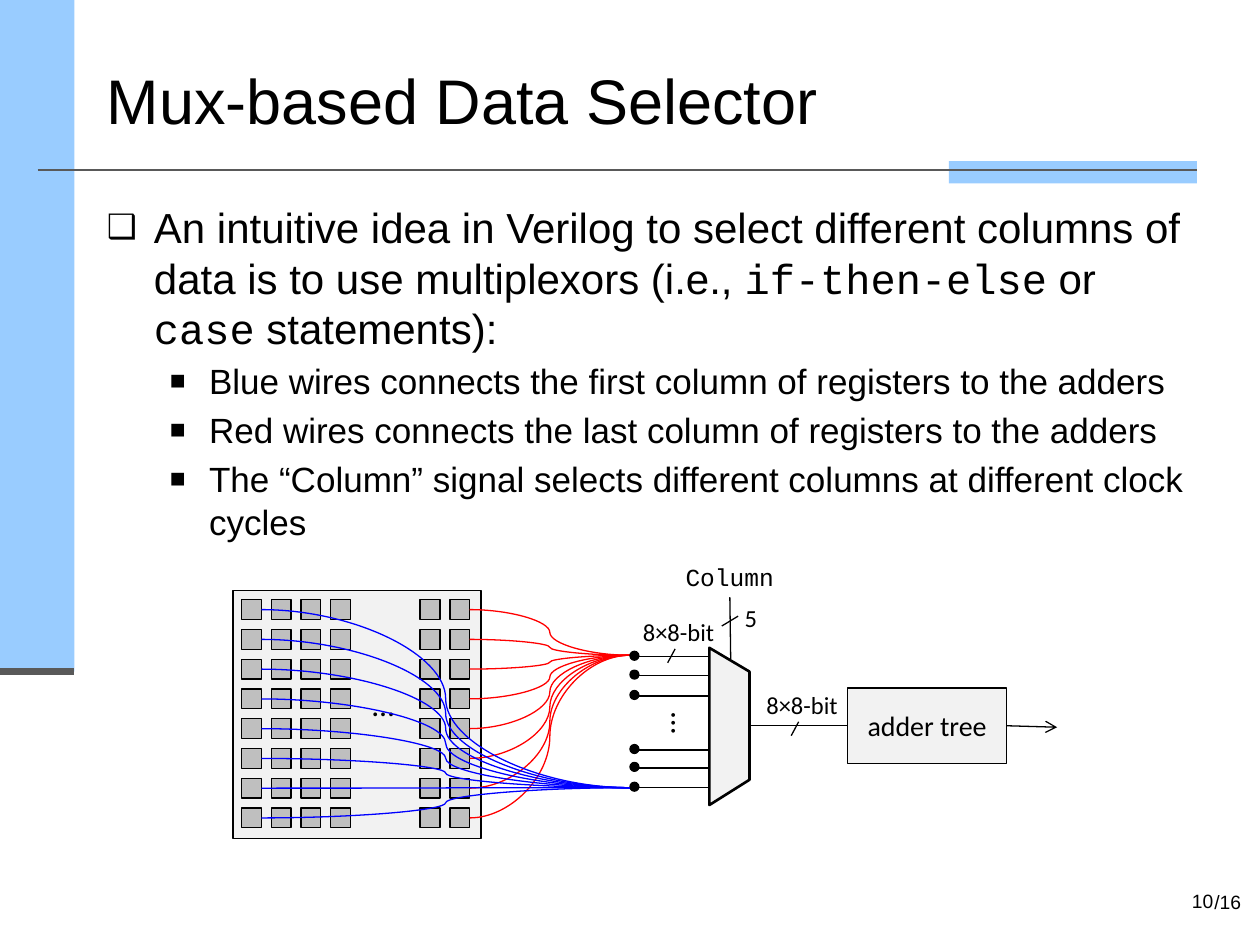
from lxml.etree import SubElement
from pptx import Presentation
from pptx.dml.color import RGBColor
from pptx.enum.shapes import MSO_CONNECTOR, MSO_SHAPE
from pptx.enum.text import MSO_ANCHOR, MSO_AUTO_SIZE, PP_ALIGN
from pptx.oxml.ns import qn
from pptx.util import Cm, Pt

BLACK = RGBColor(0x00, 0x00, 0x00)
WHITE = RGBColor(0xFF, 0xFF, 0xFF)
RED = RGBColor(0xFF, 0x00, 0x00)
BLUE = RGBColor(0x00, 0x00, 0xFF)
SKY = RGBColor(0x99, 0xCC, 0xFF)
RULE = RGBColor(0x59, 0x59, 0x59)
PALE = RGBColor(0xF2, 0xF2, 0xF2)
GRAY = RGBColor(0xBF, 0xBF, 0xBF)

PITCH, CELL = 0.6, 0.4
GRID_X, GRID_Y = 4.87, 12.09
COLUMNS = (0, 1, 2, 3, 6, 7)
ROWS = range(8)
INPUT_X, MUX_X = 12.7, 14.3
INPUTS = (13.13, 13.51, 13.92, 15.01, 15.37, 15.77)
DOT = 0.18

LEAD = (
    ("An intuitive idea in Verilog to select different columns of data is to use "
     "multiplexors (i.e., ", "Arial"),
    ("if-then-else", "Courier New"),
    (" or ", "Arial"),
    ("case", "Courier New"),
    (" statements):", "Arial"),
)
POINTS = (
    "Blue wires connects the first column of registers to the adders",
    "Red wires connects the last column of registers to the adders",
    "The “Column” signal selects different columns at different clock cycles",
)


def place(s, x, y, w, h):
    """Move and size a shape in centimetres."""
    s.left, s.top, s.width, s.height = Cm(x), Cm(y), Cm(w), Cm(h)


def style_run(r, size, font="Arial"):
    """Format one run in black."""
    r.font.size, r.font.name = Pt(size), font
    r.font.color.rgb = BLACK


def write(s, text, size, font="Calibri", align=PP_ALIGN.LEFT):
    """Put one formatted line of text in a shape."""
    p = s.text_frame.paragraphs[0]
    p.text, p.alignment = text, align
    style_run(p.runs[0], size, font)


def paint(s, fill, line=None, width=0.75):
    """Set the fill and outline and remove the shadow."""
    s.shadow.inherit = False
    s.fill.solid()
    s.fill.fore_color.rgb = fill
    if line is None:
        s.line.fill.background()
    else:
        s.line.color.rgb = line
        s.line.width = Pt(width)


def add_box(slide, x, y, w, h, fill, line=None, kind=MSO_SHAPE.RECTANGLE):
    """Add a painted preset shape."""
    s = slide.shapes.add_shape(kind, Cm(x), Cm(y), Cm(w), Cm(h))
    paint(s, fill, line)
    return s


def add_line(slide, start, end, color=BLACK, width=0.75, kind=MSO_CONNECTOR.STRAIGHT):
    """Add a connector between two points."""
    s = slide.shapes.add_connector(kind, *(Cm(v) for v in start + end))
    s.line.color.rgb = color
    s.line.width = Pt(width)
    SubElement(s._element.spPr, qn("a:effectLst"))
    return s


def add_label(slide, x, y, w, h, text, size, font="Calibri"):
    """Add a text box with one unwrapped line."""
    s = slide.shapes.add_textbox(Cm(x), Cm(y), Cm(w), Cm(h))
    s.text_frame.word_wrap = False
    write(s, text, size, font)
    return s


def set_bullet(p, char, percent, margin, hang):
    """Give a paragraph a bullet and a hanging indent."""
    pPr = p._p.get_or_add_pPr()
    pPr.set("marL", str(Cm(margin)))
    pPr.set("indent", str(-Cm(hang)))
    SubElement(pPr, qn("a:buSzPct"), val=str(percent * 1000))
    SubElement(pPr, qn("a:buFont"), typeface="Arial")
    SubElement(pPr, qn("a:buChar"), char=char)


def add_frame(slide):
    """Draw the bars, the rules and the page number."""
    add_box(slide, 19.13, 3.25, 5, 0.45, SKY)
    add_box(slide, 0, 0, 1.5, 13.54, SKY)
    add_line(slide, (0, 13.54), (1.5, 13.54), RULE, 4)
    add_line(slide, (0.76, 3.43), (24.13, 3.43), RULE, 1.5)
    add_label(slide, 24.23, 17.83, 1.07, 0.74, "/16", 11, "Arial")
    s = slide.shapes.add_textbox(Cm(18.21), Cm(17.65), Cm(6.5), Cm(1.02))
    s.text_frame.word_wrap = True
    s.text_frame.vertical_anchor = MSO_ANCHOR.MIDDLE
    write(s, "10", 11, "Arial", PP_ALIGN.RIGHT)


def fill_text(slide):
    """Fill the title and body placeholders."""
    title, body = slide.placeholders
    place(title, 1.9, 0.76, 22.23, 2.49)
    title.text_frame.vertical_anchor = MSO_ANCHOR.MIDDLE
    write(title, "Mux-based Data Selector", 36, "Arial")
    place(body, 1.9, 3.94, 22.23, 13.08)
    tf = body.text_frame
    title.text_frame.auto_size = tf.auto_size = MSO_AUTO_SIZE.NONE
    p = tf.paragraphs[0]
    p.space_before = Pt(4.8)
    set_bullet(p, "❑", 80, 0.95, 0.95)
    for text, font in LEAD:
        r = p.add_run()
        r.text = text
        style_run(r, 24, font)
    for text in POINTS:
        p = tf.add_paragraph()
        p.text, p.level = text, 1
        p.space_before = Pt(4)
        set_bullet(p, "■", 75, 2.06, 0.79)
        style_run(p.runs[0], 20)


def add_registers(slide):
    """Draw the register array."""
    add_box(slide, 4.7, 11.91, 5, 5, PALE, BLACK)
    for row in ROWS:
        for col in COLUMNS:
            add_box(slide, GRID_X + col * PITCH, GRID_Y + row * PITCH, CELL, CELL, GRAY, BLACK)
    add_label(slide, 7.26, 13.69, 1.14, 1.02, "…", 18)


def add_wires(slide, col, end_y, color):
    """Run a curved wire from each register of a column to one mux input."""
    x = GRID_X + col * PITCH + CELL
    for row in ROWS:
        y = GRID_Y + row * PITCH + CELL / 2
        add_line(slide, (x, y), (INPUT_X, end_y), color, kind=MSO_CONNECTOR.CURVE)


def add_mux(slide):
    """Draw the multiplexor with its select signal and inputs."""
    right = 15.11
    builder = slide.shapes.build_freeform(Cm(MUX_X), Cm(13.06), scale=1.0)
    corners = ((right, 13.54), (right, 15.72), (MUX_X, 16.23))
    builder.add_line_segments([(Cm(x), Cm(y)) for x, y in corners], close=True)
    paint(builder.convert_to_shape(), PALE, BLACK, 1.5)
    add_line(slide, (14.73, 13.28), (14.71, 11.84))
    add_line(slide, (14.88, 12.42), (14.55, 12.62))
    add_label(slide, 14.76, 12.04, 0.76, 0.86, "5", 14)
    s = add_box(slide, 13.72, 11.33, 1.98, 0.71, WHITE)
    tf = s.text_frame
    tf.word_wrap, tf.vertical_anchor = False, MSO_ANCHOR.TOP
    tf.margin_left = tf.margin_right = tf.margin_bottom = Cm(0.1)
    tf.margin_top = 0
    write(s, "Column", 14, "Courier New")
    for y in INPUTS:
        add_box(slide, INPUT_X, y, DOT, DOT, BLACK, BLACK, MSO_SHAPE.OVAL)
        add_line(slide, (INPUT_X + 0.13, y + 0.11), (MUX_X, y + 0.11))
    s = add_label(slide, 13.03, 14.12, 1.27, 0.89, "…", 18)
    s.text_frame.word_wrap = True
    s.text_frame._txBody.bodyPr.set("vert", "vert")


def add_bus_mark(slide, x, y):
    """Mark a bus with a slash and its width."""
    add_line(slide, (x, y), (x - 0.15, y + 0.28))
    add_label(slide, x - 1.0 + 0.1, y - 0.76, 1.98, 0.86, "8×8-bit", 14)


def add_adder(slide):
    """Draw the adder tree and its buses."""
    s = add_box(slide, 17.09, 13.87, 3.2, 1.52, PALE, BLACK)
    s.text_frame.vertical_anchor = MSO_ANCHOR.MIDDLE
    write(s, "adder tree", 16, align=PP_ALIGN.CENTER)
    add_line(slide, (15.11, 14.63), (17.09, 14.63))
    s = add_line(slide, (20.29, 14.63), (21.31, 14.66))
    SubElement(s.line._get_or_add_ln(), qn("a:tailEnd"), type="arrow")
    add_bus_mark(slide, 13.61, 13.08)
    add_bus_mark(slide, 16.1, 14.55)


def main():
    """Build the slide and save it."""
    prs = Presentation()
    prs.slide_width, prs.slide_height = Cm(25.4), Cm(19.05)
    slide = prs.slides.add_slide(prs.slide_layouts[1])
    fill_text(slide)
    add_frame(slide)
    add_registers(slide)
    add_wires(slide, 7, 13.21, RED)
    add_mux(slide)
    add_wires(slide, 0, 15.88, BLUE)
    add_adder(slide)
    prs.save("out.pptx")


main()
